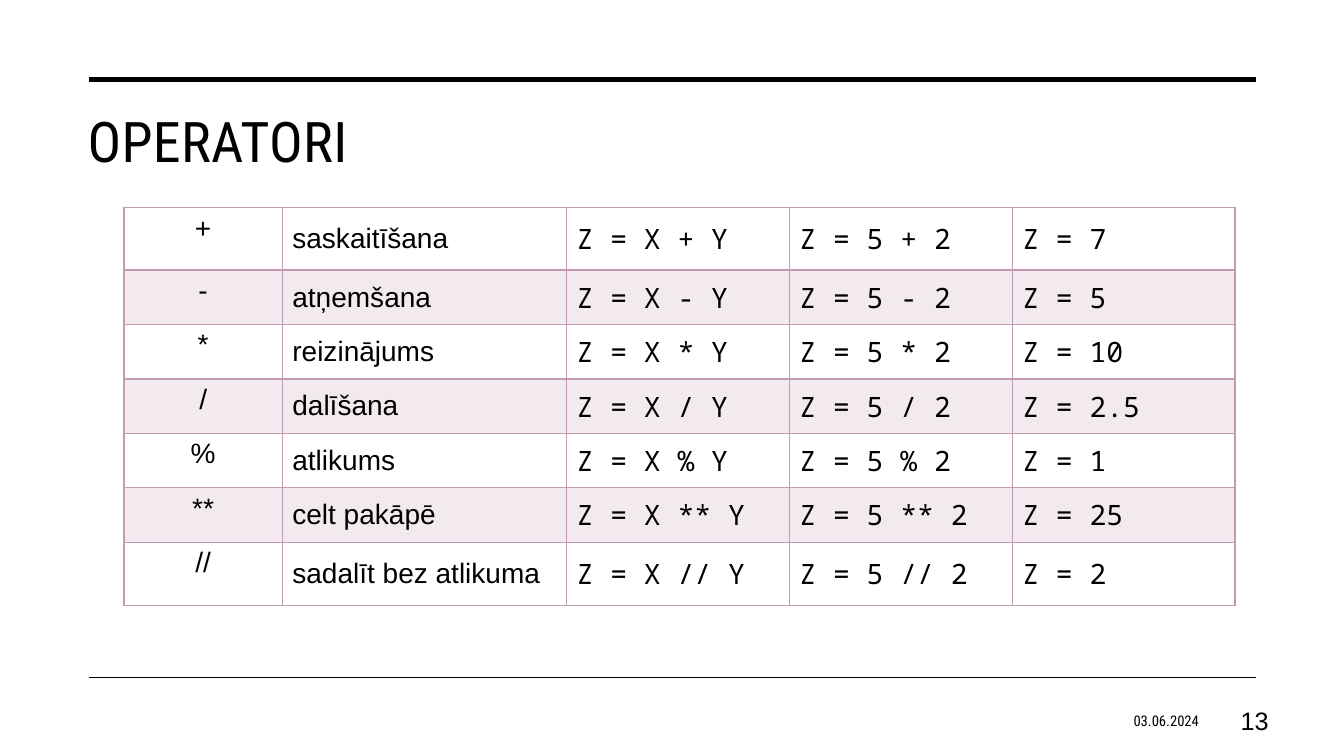
from lxml import etree
from pptx import Presentation
from pptx.dml.color import RGBColor
from pptx.enum.shapes import MSO_CONNECTOR as Connector
from pptx.enum.text import MSO_ANCHOR as Anchor, PP_ALIGN as Align
from pptx.oxml.ns import qn
from pptx.util import Inches, Pt

BLACK = "000000"
MAUVE = "C29AB1"
BODY_FONT = "Arial"
CODE_FONT = "Noto Sans Mono"
HEADING_FONT = "Roboto Condensed"

OPERATORS = [
    ("+", "saskaitīšana", "7"),
    ("-", "atņemšana", "5"),
    ("*", "reizinājums", "10"),
    ("/", "dalīšana", "2.5"),
    ("%", "atlikums", "1"),
    ("**", "celt pakāpē", "25"),
    ("//", "sadalīt bez atlikuma", "2"),
]
COLUMN_WIDTHS = [1.57, 2.82, 2.21, 2.21, 2.21]
ROW_HEIGHTS = [0.62] + [0.54] * 5 + [0.63]


def paint(color_format, color):
    """Apply a hex colour to a colour format."""
    color_format.rgb = RGBColor.from_string(color)


def write(frame, text, size, font, align=Align.LEFT, spacing=0):
    """Fill a text frame with one formatted paragraph."""
    frame.text = text
    para = frame.paragraphs[0]
    para.alignment = align
    span = para.runs[0]
    span.font.size = Pt(size)
    span.font.name = font
    paint(span.font.color, BLACK)
    if spacing:
        span._r.get_or_add_rPr().set("spc", str(round(spacing * 100)))


def add_text(page, left, top, width, height, text, size, font,
             align=Align.LEFT, anchor=Anchor.TOP, spacing=0):
    """Place a wrapped text box on the page."""
    box = page.shapes.add_textbox(Inches(left), Inches(top), Inches(width), Inches(height))
    frame = box.text_frame
    frame.word_wrap = True
    frame.vertical_anchor = anchor
    write(frame, text, size, font, align, spacing)


def add_rule(page, top, weight):
    """Draw a horizontal rule between the page margins."""
    rule = page.shapes.add_connector(
        Connector.STRAIGHT, Inches(0.88), Inches(top), Inches(12.46), Inches(top))
    rule.line.width = Pt(weight)
    paint(rule.line.color, BLACK)
    etree.SubElement(rule._element.spPr, qn("a:effectLst"))


def shade(cell):
    """Fill a cell with translucent mauve."""
    cell.fill.solid()
    paint(cell.fill.fore_color, MAUVE)
    tint = cell._tc.tcPr.find(".//" + qn("a:srgbClr"))
    etree.SubElement(tint, qn("a:alpha"), val="20000")


def outline(cell, bottom_weight):
    """Draw mauve borders around a cell."""
    weights = {"a:lnL": 1, "a:lnR": 1, "a:lnT": 1, "a:lnB": bottom_weight}
    for index, (tag, weight) in enumerate(weights.items()):
        border = etree.Element(qn(tag), w=str(Pt(weight)))
        fill = etree.SubElement(border, qn("a:solidFill"))
        etree.SubElement(fill, qn("a:srgbClr"), val=MAUVE)
        cell._tc.get_or_add_tcPr().insert(index, border)


def add_operator_table(page):
    """Build the table of operators, names, formulas and examples."""
    frame = page.shapes.add_table(
        len(OPERATORS), len(COLUMN_WIDTHS), Inches(1.23), Inches(2.06),
        Inches(sum(COLUMN_WIDTHS)), Inches(sum(ROW_HEIGHTS)))
    table = frame.table
    table.first_row = False
    table.horz_banding = False
    for column, width in zip(table.columns, COLUMN_WIDTHS):
        column.width = Inches(width)
    for row, height in zip(table.rows, ROW_HEIGHTS):
        row.height = Inches(height)
    for row_index, (symbol, name, result) in enumerate(OPERATORS):
        texts = [symbol, name, f"Z = X {symbol} Y", f"Z = 5 {symbol} 2", f"Z = {result}"]
        for column_index, text in enumerate(texts):
            cell = table.cell(row_index, column_index)
            is_symbol = column_index == 0
            write(cell.text_frame, text, 20,
                  BODY_FONT if column_index < 2 else CODE_FONT,
                  Align.CENTER if is_symbol else Align.LEFT)
            cell.vertical_anchor = Anchor.TOP if is_symbol else Anchor.MIDDLE
            if row_index % 2:
                shade(cell)
            else:
                cell.fill.background()
            outline(cell, 2 if row_index == 0 else 1)


def main():
    """Build and save the operators slide."""
    deck = Presentation()
    deck.slide_width = Inches(13.33)
    deck.slide_height = Inches(7.5)
    page = deck.slides.add_slide(deck.slide_layouts[6])
    add_rule(page, 0.79, 3.5)
    add_rule(page, 6.72, 1)
    add_text(page, 9.15, 6.95, 2.84, 0.4, "03.06.2024", 10.5, HEADING_FONT,
             Align.RIGHT, Anchor.MIDDLE)
    add_text(page, 11.94, 6.95, 0.74, 0.4, "13", 18, BODY_FONT,
             Align.RIGHT, Anchor.MIDDLE)
    add_text(page, 0.77, 1.01, 11.69, 1.5, "OPERATORI", 40, HEADING_FONT, spacing=0.3)
    add_operator_table(page)
    deck.save("out.pptx")


if __name__ == "__main__":
    main()
